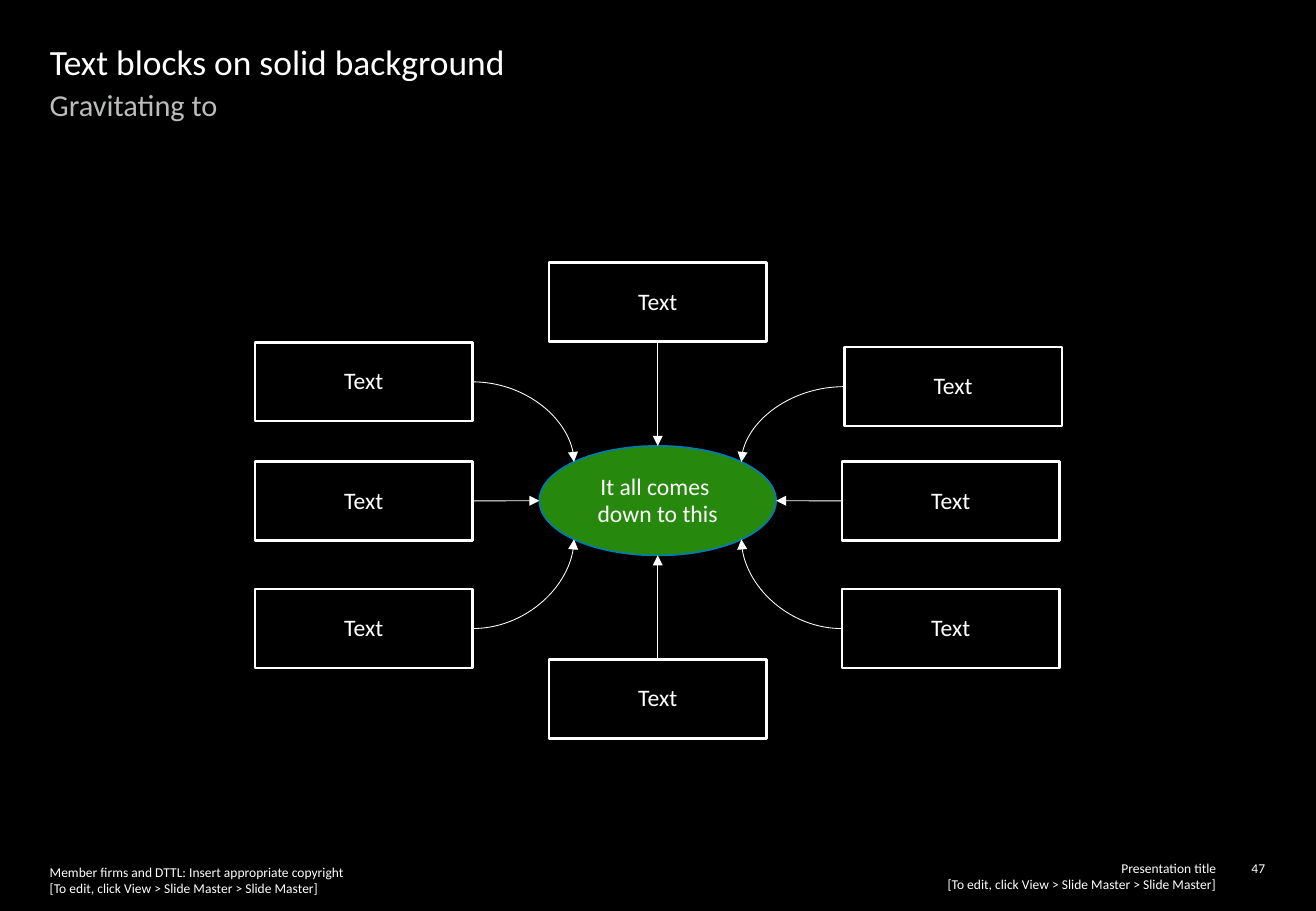
from copy import deepcopy
from math import sqrt

from lxml.etree import SubElement
from pptx import Presentation
from pptx.dml.color import RGBColor
from pptx.enum.shapes import MSO_CONNECTOR, MSO_SHAPE
from pptx.enum.text import MSO_ANCHOR, MSO_AUTO_SIZE, PP_ALIGN
from pptx.oxml.ns import qn
from pptx.util import Cm, Pt

COLOURS = {
    "background": "000000",
    "text": "FFFFFF",
    "subtitle": "BBBCBC",
    "hub": "26890D",
    "hub_line": "007CB0",
}
FONT = "Calibri"
TITLE_ONLY = 5

BOX_WIDTH, BOX_HEIGHT = 4.55, 1.65
HUB_WIDTH, HUB_HEIGHT = 4.95, 2.29
HUB_X, HUB_Y = 13.75, 10.47
DIAGONAL_X = HUB_WIDTH / 2 / sqrt(2)
DIAGONAL_Y = HUB_HEIGHT / 2 / sqrt(2)
LEFT, MIDDLE, RIGHT = 5.33, HUB_X - BOX_WIDTH / 2, 17.6

# left, top, side the arrow leaves from, direction of its end from the hub centre
SATELLITES = [
    (MIDDLE, 5.49, 2, (0, -1)),
    (MIDDLE, 13.79, 0, (0, 1)),
    (LEFT, 7.16, 3, (-1, -1)),
    (LEFT, 9.65, 3, (-1, 0)),
    (LEFT, 12.32, 3, (-1, 1)),
    (RIGHT + 0.05, 7.26, 1, (1, -1)),
    (RIGHT, 9.65, 1, (1, 0)),
    (RIGHT, 12.32, 1, (1, 1)),
]


def rgb(name):
    return RGBColor.from_string(COLOURS[name])


def format_text(text_frame, size, colour="text", align=PP_ALIGN.LEFT, margin=0):
    text_frame.word_wrap = True
    text_frame.auto_size = MSO_AUTO_SIZE.NONE
    text_frame.margin_left = text_frame.margin_right = Cm(margin)
    text_frame.margin_top = text_frame.margin_bottom = Cm(margin)
    for paragraph in text_frame.paragraphs:
        paragraph.alignment = align
        for run in paragraph.runs:
            run.font.size = Pt(size)
            run.font.name = FONT
            run.font.color.rgb = rgb(colour)
        for line_break in paragraph._p.findall(qn("a:br")):
            line_break.append(deepcopy(paragraph.runs[0]._r.rPr))


def add_title(slide, text):
    title = slide.shapes.title
    title.left, title.top, title.width, title.height = Cm(1.04), Cm(0.84), Cm(25.45), Cm(0.97)
    title.text_frame.text = text
    title.text_frame.vertical_anchor = MSO_ANCHOR.TOP
    format_text(title.text_frame, 21)


def add_text(slide, place, text, size, colour="text", align=PP_ALIGN.LEFT):
    box = slide.shapes.add_textbox(*map(Cm, place))
    box.text_frame.paragraphs[0].text = text
    format_text(box.text_frame, size, colour, align)


def add_block(slide, kind, place, text, line_colour, line_width):
    """Add an unfilled outlined shape with centred text."""
    shape = slide.shapes.add_shape(kind, *map(Cm, place))
    shape.shadow.inherit = False
    shape.fill.background()
    shape.line.color.rgb = rgb(line_colour)
    shape.line.width = Pt(line_width)
    shape.text_frame.text = text
    shape.text_frame.vertical_anchor = MSO_ANCHOR.MIDDLE
    format_text(shape.text_frame, 14, align=PP_ALIGN.CENTER, margin=0.2)
    for paragraph in shape.text_frame.paragraphs:
        paragraph.line_spacing = 0.95
    return shape


def add_arrow(slide, kind, start, end):
    arrow = slide.shapes.add_connector(kind, *map(Cm, start + end))
    arrow.line.color.rgb = rgb("text")
    arrow.line.width = Pt(0.5)
    properties = arrow._element.spPr
    SubElement(properties.find(qn("a:ln")), qn("a:tailEnd"), type="triangle")
    SubElement(properties, qn("a:effectLst"))
    if kind == MSO_CONNECTOR.CURVE:
        properties.find(qn("a:prstGeom")).set("prst", "curvedConnector2")
    return arrow


def add_satellite(slide, left, top, side, direction):
    """Add a text box and its arrow to the hub: curved on the diagonals."""
    box = add_block(slide, MSO_SHAPE.RECTANGLE, (left, top, BOX_WIDTH, BOX_HEIGHT),
                    "Text", "text", 1.5)
    x, y = direction
    starts = {
        0: (left + BOX_WIDTH / 2, top),
        1: (left, top + BOX_HEIGHT / 2),
        2: (left + BOX_WIDTH / 2, top + BOX_HEIGHT),
        3: (left + BOX_WIDTH, top + BOX_HEIGHT / 2),
    }
    if x and y:
        end = (HUB_X + x * DIAGONAL_X, HUB_Y + y * DIAGONAL_Y)
        add_arrow(slide, MSO_CONNECTOR.CURVE, starts[side], end)
    else:
        end = (HUB_X + x * HUB_WIDTH / 2, HUB_Y + y * HUB_HEIGHT / 2)
        arrow = add_arrow(slide, MSO_CONNECTOR.STRAIGHT, starts[side], end)
        arrow.begin_connect(box, side)


def add_footer(slide):
    edit_hint = "[To edit, click View > Slide Master > Slide Master]"
    add_text(slide, (14.38, 17.98, 11.05, 0.69), f"Presentation title\n{edit_hint}", 8,
             align=PP_ALIGN.RIGHT)
    add_text(slide, (1.04, 18.06, 12.09, 0.69),
             f"Member firms and DTTL: Insert appropriate copyright\n{edit_hint}", 8)
    add_text(slide, (25.76, 17.98, 0.69, 0.33), "47", 8, align=PP_ALIGN.RIGHT)


def main():
    presentation = Presentation()
    presentation.slide_width, presentation.slide_height = Cm(27.51), Cm(19.05)
    slide = presentation.slides.add_slide(presentation.slide_layouts[TITLE_ONLY])
    slide.background.fill.solid()
    slide.background.fill.fore_color.rgb = rgb("background")

    add_title(slide, "Text blocks on solid background")
    add_text(slide, (1.04, 1.8, 25.45, 2.11), "Gravitating to", 18, "subtitle")
    add_footer(slide)

    hub_place = (HUB_X - HUB_WIDTH / 2, HUB_Y - HUB_HEIGHT / 2, HUB_WIDTH, HUB_HEIGHT)
    hub = add_block(slide, MSO_SHAPE.OVAL, hub_place, "It all comes \ndown to this",
                    "hub_line", 1)
    hub.fill.solid()
    hub.fill.fore_color.rgb = rgb("hub")
    for satellite in SATELLITES:
        add_satellite(slide, *satellite)

    presentation.save("out.pptx")


if __name__ == "__main__":
    main()
